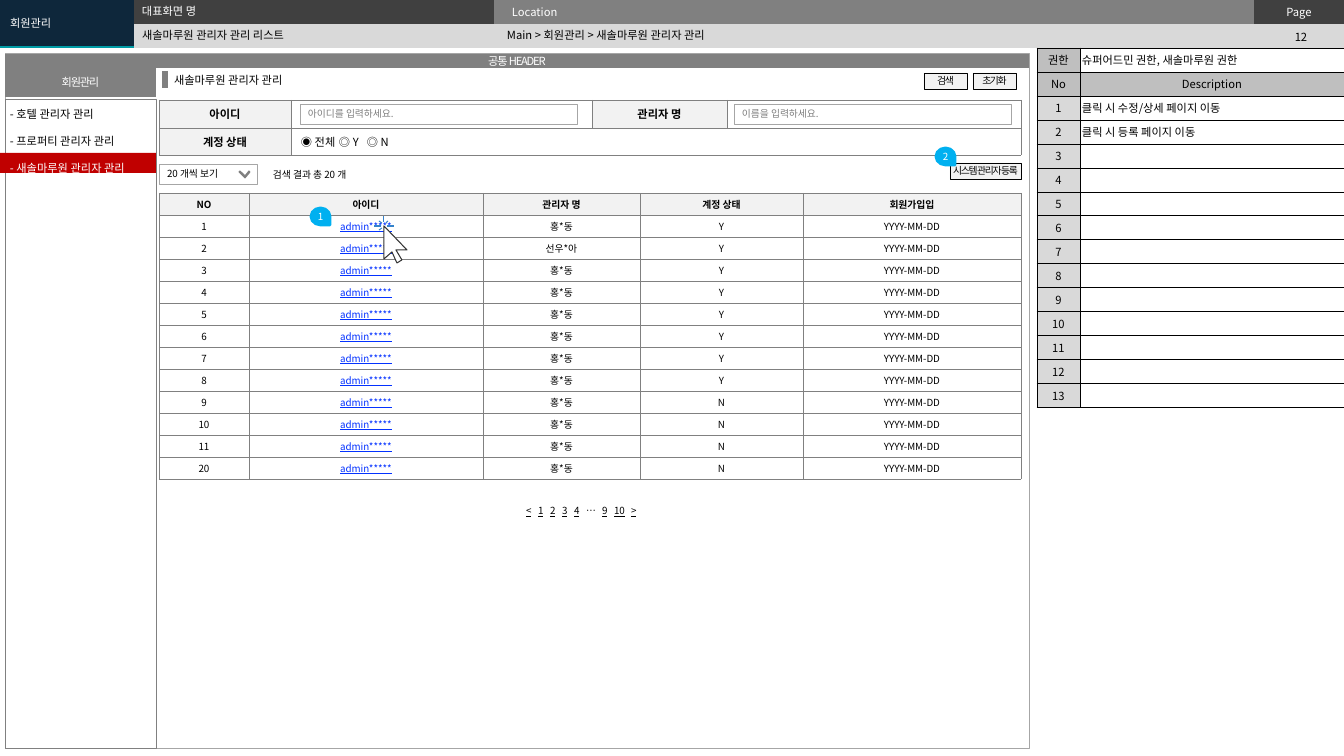
"""Build the administrator list wireframe slide with its description panel."""
import pptx
import pptx.dml.color
import pptx.enum.shapes
import pptx.enum.text
import pptx.oxml
import pptx.oxml.ns
import pptx.util

PX = 914400 / 100.8
RGB = pptx.dml.color.RGBColor.from_string
SHAPE = pptx.enum.shapes.MSO_SHAPE
LEFT, CENTER = pptx.enum.text.PP_ALIGN.LEFT, pptx.enum.text.PP_ALIGN.CENTER
MIDDLE = pptx.enum.text.MSO_ANCHOR.MIDDLE
THEME = {
    "font": "Noto Sans CJK KR", "body": 8, "small": 7,
    "black": "000000", "white": "FFFFFF", "navy": "0E273B", "teal": "009CA6",
    "dark": "404040", "gray": "808080", "edge": "A6A6A6", "mid": "BFBFBF",
    "light": "D9D9D9", "pale": "F2F2F2", "link": "0432FF", "badge": "00B0F0",
    "red": "C00000", "cursor": "333333", "spark": "3483CB", "chevron": "5F5F5F",
}
NS = pptx.oxml.ns.nsdecls("a")


def write(tf, text, size="body", color="black", align=LEFT, spc=0, tabs=(), spacing=None):
    tf.text = text
    for p in tf.paragraphs:
        p.alignment = align
        if spacing:
            p.line_spacing = spacing
        if tabs:
            stops = "".join(f'<a:tab pos="{round(t * PX)}" algn="l"/>' for t in tabs)
            p._p.get_or_add_pPr().append(pptx.oxml.parse_xml(f"<a:tabLst {NS}>{stops}</a:tabLst>"))
        if not p.runs:
            p._p.get_or_add_endParaRPr().set("sz", str(THEME[size] * 100))
        for r in p.runs:
            r.font.size = pptx.util.Pt(THEME[size])
            r.font.name = THEME["font"]
            r.font.color.rgb = RGB(THEME[color])
            rPr = r._r.get_or_add_rPr()
            if spc:
                rPr.set("spc", str(spc))
            rPr.append(pptx.oxml.parse_xml(f'<a:ea {NS} typeface="{THEME["font"]}"/>'))


def box(x, y, w, h, text="", fill=None, line=None, weight=0.25, inset=10, kind=SHAPE.RECTANGLE, **style):
    area = [round(v * PX) for v in (x, y, w, h)]
    if fill or line:
        sp = s.shapes.add_shape(kind, *area)
        sp.shadow.inherit = False
        sp.fill.background()
        sp.line.fill.background()
    else:
        sp = s.shapes.add_textbox(*area)
    if fill:
        sp.fill.solid()
        sp.fill.fore_color.rgb = RGB(THEME[fill])
    if line:
        sp.line.color.rgb = RGB(THEME[line])
        sp.line.width = pptx.util.Pt(weight)
    tf = sp.text_frame
    tf.word_wrap = True
    tf.vertical_anchor = MIDDLE
    tf.margin_left = tf.margin_right = round(inset * PX)
    tf.margin_top = tf.margin_bottom = 0
    if text:
        write(tf, text, **style)
    return sp


prs = pptx.Presentation()
prs.slide_width, prs.slide_height = round(1344 * PX), round(756 * PX)
s = prs.slides.add_slide(prs.slide_layouts[5])

search_labels = [["아이디", "", "관리자 명", ""], ["계정 상태", "◉ 전체\t◎ Y\t◎ N", "", ""]]
members = [["NO", "아이디", "관리자 명", "계정 상태", "회원가입입"]]
for no in [*range(1, 12), 20]:
    name = "선우*아" if no == 2 else "홍*동"
    members.append([str(no), "admin*****", name, "Y" if no < 9 else "N", "YYYY-MM-DD"])
notes = [["권한", "슈퍼어드민 권한, 새솔마루원 권한"], ["No", "Description"],
         ["1", "클릭 시 수정/상세 페이지 이동"], ["2", "클릭 시 등록 페이지 이동"]]
notes += [[str(no), ""] for no in range(3, 14)]
header = [["", "", "Location", "Page"], [""] * 4]

tables = {}
for key, x, y, widths, heights, rows, size, pad, border, weight in [
    ("header", 0, 0, [134, 360, 760, 90], [24, 24], header, "body", 18, None, 0),
    ("notes", 1037, 48, [43, 264], [24] * 15, notes, "body", 2, "black", 0.5),
    ("search", 159, 100, [132, 301, 135, 294], [28, 27], search_labels, "body", 10, "gray", 0.25),
    ("members", 159, 193, [90, 234, 157, 163, 218], [22] * 13, members, "small", 10, "gray", 0.25),
]:
    area = [round(v * PX) for v in (x, y, sum(widths), sum(heights))]
    tbl = s.shapes.add_table(len(rows), len(widths), *area).table
    tbl._tbl.tblPr[0].text = "{2D5ABB26-0587-4C30-8999-92F81FD0307C}"
    tbl.first_row = tbl.horz_banding = False
    for col, w in zip(tbl.columns, widths):
        col.width = round(w * PX)
    for row, h, texts in zip(tbl.rows, heights, rows):
        row.height = round(h * PX)
        for cell, text in zip(row.cells, texts):
            cell.margin_left = cell.margin_right = round(pad * PX)
            cell.margin_top = cell.margin_bottom = round(2 * PX)
            cell.vertical_anchor = MIDDLE
            write(cell.text_frame, text, size, align=CENTER, tabs=(38, 66) if "\t" in text else ())
            if border:
                for side in ("lnL", "lnR", "lnT", "lnB"):
                    cell._tc.get_or_add_tcPr().append(pptx.oxml.parse_xml(
                        f'<a:{side} {NS} w="{round(weight * 12700)}"><a:solidFill>'
                        f'<a:srgbClr val="{THEME[border]}"/></a:solidFill></a:{side}>'))
            cell.fill.solid()
            cell.fill.fore_color.rgb = RGB(THEME["white"])
    tables[key] = tbl

tables["header"].cell(0, 0).merge(tables["header"].cell(1, 0))
tables["search"].cell(1, 1).merge(tables["search"].cell(1, 3))
fills = [("header", 0, c, f) for c, f in enumerate(["teal", "dark", "gray", "dark"])]
fills += [("header", 1, c, "light") for c in (1, 2, 3)]
fills += [("notes", r, 0, "mid" if r < 2 else "light") for r in range(15)] + [("notes", 1, 1, "mid")]
fills += [("search", r, c, "pale") for r, c in [(0, 0), (0, 2), (1, 0)]]
fills += [("members", 0, c, "pale") for c in range(5)]
for key, row, col, fill in fills:
    cell = tables[key].cell(row, col)
    cell.fill.fore_color.rgb = RGB(THEME[fill])
    for r in cell.text_frame.paragraphs[0].runs:
        r.font.bold = fill == "pale"
        if key == "header":
            r.font.color.rgb = RGB(THEME["white"])
for key, row, col in [("header", 0, 2), ("notes", 0, 1), ("notes", 2, 1), ("notes", 3, 1), ("search", 1, 1)]:
    tables[key].cell(row, col).text_frame.paragraphs[0].alignment = LEFT
for row in range(1, 13):
    r = tables["members"].cell(row, 1).text_frame.paragraphs[0].runs[0]
    r.font.underline = True
    r.font.color.rgb = RGB(THEME["link"])

title = s.shapes.title
title.left, title.top, title.width, title.height = [round(v * PX) for v in (132, 24, 366, 22)]
title.text_frame.vertical_anchor = MIDDLE
write(title.text_frame, "새솔마루원 관리자 관리 리스트")
s.shapes._spTree.append(title._element)
box(497, 23, 744, 24, "Main > 회원관리 > 새솔마루원 관리자 관리")
box(132, 0, 365, 23, "대표화면 명", color="white")
box(0, 0, 134, 46, "회원관리", fill="navy", color="white")
box(1258, 26, 86, 22, "12", align=CENTER)

box(5, 53, 1024, 695, line="edge")
box(5, 99, 151, 649, line="gray")
box(5, 54, 1024, 14, "공통 HEADER", fill="gray", color="white", align=CENTER, spc=-90)
box(5, 68, 151, 29, "회원관리", fill="gray", color="white", align=CENTER, spc=-90)
box(0, 153, 156, 20, fill="red")
menu = box(0, 90, 150, 88, "- 호텔 관리자 관리\n- 프로퍼티 관리자 관리\n- 새솔마루원 관리자 관리", spacing=2.0)
menu.text_frame.paragraphs[2].runs[0].font.color.rgb = RGB(THEME["white"])

box(164, 68, 243, 24, "새솔마루원 관리자 관리")
accent = s.shapes.add_connector(pptx.enum.shapes.MSO_CONNECTOR.STRAIGHT, *[round(v * PX) for v in (165, 71, 165, 88)])
accent.line.color.rgb = RGB(THEME["gray"])
accent.line.width = pptx.util.Pt(4.5)
accent._element.spPr.append(pptx.oxml.parse_xml(f"<a:effectLst {NS}/>"))

for x, y, w, label in [(924, 73, 43, "검색"), (973, 73, 43, "초기화"), (950, 163, 71, "시스템 관리자 등록")]:
    box(x, y, w, 16, label, fill="pale", line="black", inset=0, size="small", align=CENTER, spc=-90)
for x, y, w, label, color in [(300, 104, 277, "아이디를 입력하세요.", "gray"), (734, 104, 277, "이름을 입력하세요.", "gray"),
                              (159, 164, 98, "20 개씩 보기", "black")]:
    box(x, y, w, 20, label, fill="white", line="edge", weight=0.5, inset=8, size="small", color=color)
box(263, 164, 110, 22, "검색 결과 총 20 개", size="small")

pages = box(518, 501, 146, 20, "<\t1\t2\t3\t4\t…\t9\t10\t>", inset=8, size="small",
            tabs=(12, 24, 36, 48, 60, 76, 88, 105))
p = pages.text_frame.paragraphs[0]
labels = p.text.split("\t")
p.runs[0].text = labels[0]
p.runs[0].font.underline = True
for label in labels[1:]:
    for text in ("\t", label):
        r = p.add_run()
        r.text = text
        r.font.size = pptx.util.Pt(THEME["small"])
        r.font.name = THEME["font"]
        r.font.color.rgb = RGB(THEME["black"])
        r.font.underline = text not in "\t…"

for x, y, label in [(312, 207, "1"), (937, 147, "2")]:
    sp = box(x, y, 17, 19, label, fill="badge", line="badge", weight=2, inset=0, kind=SHAPE.TEAR,
             size="small", color="white", align=CENTER)
    sp.rotation = 90
    sp.text_frame._txBody.bodyPr.set("vert", "vert270")

arrow = [[(402, 260), (396, 250), (407, 250), (384, 226), (384, 259), (392, 252), (397, 263)]]
sparks = [[(382, 228), (379, 230)], [(382, 223), (379, 221)], [(386, 223), (388, 221)],
          [(381, 226), (374, 226)], [(384, 222), (384, 216)], [(387, 226), (394, 226)]]
chevron = [[(250, 172), (249, 171), (245, 176), (240, 171), (239, 172), (245, 178)]]
for strokes, fill, line in [(arrow, "white", "cursor"), (sparks, None, "spark"), (chevron, "chevron", "gray")]:
    outline = s.shapes.build_freeform(*strokes[0][0], scale=PX)
    for i, stroke in enumerate(strokes):
        if i:
            outline.move_to(*stroke[0])
        outline.add_line_segments(stroke[1:], close=bool(fill))
    sp = outline.convert_to_shape()
    sp.shadow.inherit = False
    sp.fill.background()
    if fill:
        sp.fill.solid()
        sp.fill.fore_color.rgb = RGB(THEME[fill])
    sp.line.color.rgb = RGB(THEME[line])
    sp.line.width = pptx.util.Pt(0.75)

prs.save("out.pptx")
